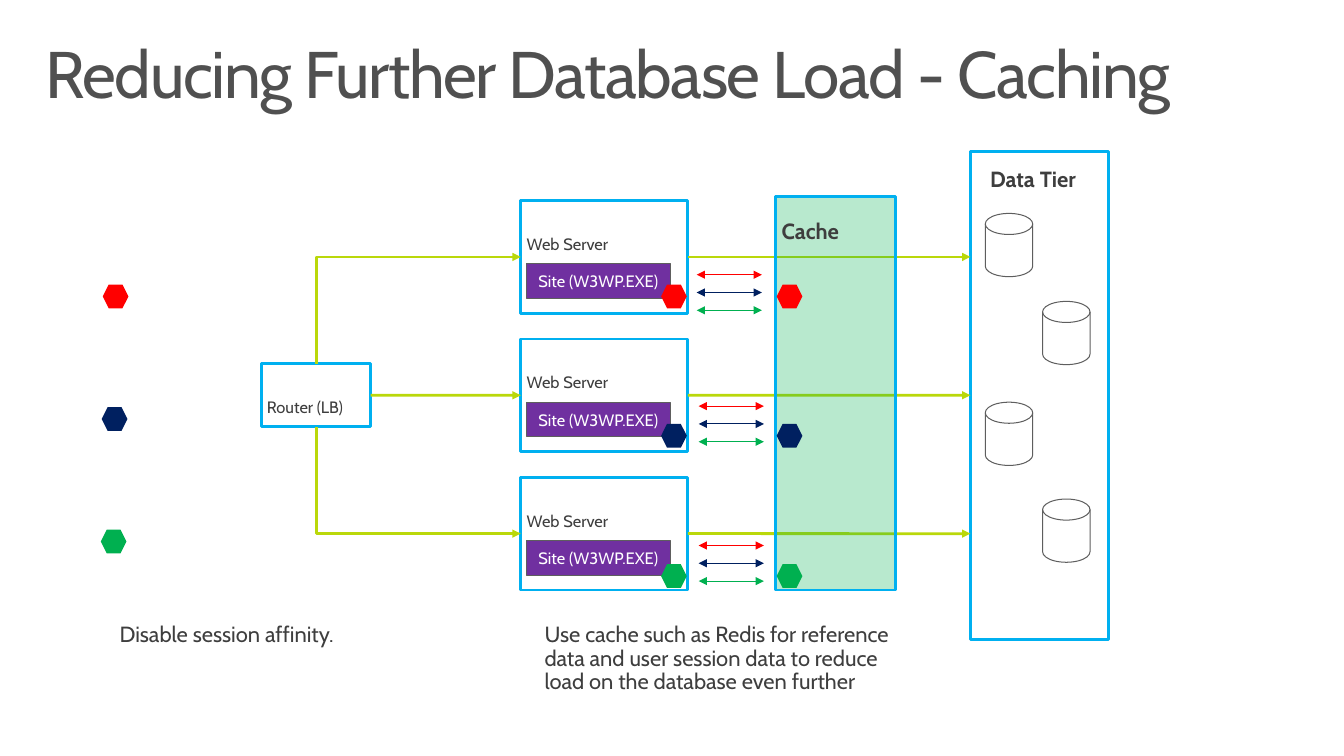
from pptx import Presentation
from pptx.dml.color import RGBColor
from pptx.enum.shapes import MSO_CONNECTOR as LINK, MSO_SHAPE as SHAPE
from pptx.enum.text import MSO_ANCHOR, MSO_AUTO_SIZE, PP_ALIGN
from pptx.oxml.ns import qn
from pptx.oxml.xmlchemy import OxmlElement
from pptx.util import Inches, Pt

rgb = RGBColor.from_string
BLUE, LIME, GREY, INK, WHITE = "00B0F0", "BAD80A", "5E5E5E", "3E3E3E", "FFFFFF"
RED, NAVY, GREEN = SESSIONS = ("FF0000", "002060", "00B050")

deck = Presentation()
deck.slide_width, deck.slide_height = Inches(13.6), Inches(7.65)
slide = deck.slides.add_slide(deck.slide_layouts[5])


def place(kind, left, top, width, height, fill, outline=None, weight=2):
    shape = slide.shapes.add_shape(kind, *map(Inches, (left, top, width, height)))
    shape.shadow.inherit = False
    shape.fill.solid()
    shape.fill.fore_color.rgb = rgb(fill)
    if outline:
        shape.line.color.rgb = rgb(outline)
        shape.line.width = Pt(weight)
    else:
        shape.line.fill.background()
    return shape


def write(frame, text, size, colour, bold=False, spacing=0.9, align=PP_ALIGN.LEFT):
    frame.word_wrap = True
    paragraph = frame.paragraphs[0]
    paragraph.alignment = align
    paragraph.line_spacing = spacing
    run = paragraph.add_run()
    run.text = text
    run.font.name = "Cabin"
    run.font.size = Pt(size)
    run.font.bold = bold
    run.font.color.rgb = rgb(colour)
    return run


title = slide.shapes.title
title.left, title.top, title.width, title.height = map(Inches, (0.3, 0.32, 13, 1))
heading = title.text_frame
heading.auto_size = MSO_AUTO_SIZE.NONE
heading.vertical_anchor = MSO_ANCHOR.TOP
heading.margin_left = heading.margin_right = Inches(0.16)
heading.margin_top = heading.margin_bottom = Inches(0.1)
headline = write(heading, "Reducing Further Database Load - Caching", 48, "505050")
headline.font._element.set("spc", "-100")

SERVER_LEFT, SERVER_RIGHT, TIER_LEFT = 5.27, 6.96, 9.82
BALANCER_LEFT, BALANCER_RIGHT, BALANCER_MID = 2.65, 3.75, 3.2
row_tops = [2.03 + 1.4 * row for row in range(3)]
row_mids = [top + 0.57 for top in row_tops]

labels = [
    (2.7, 4.04, 1.04, 0.18, "Router (LB)", 12, False),
    (10.02, 1.71, 1, 0.24, "Data Tier", 16, True),
    (7.91, 2.23, 0.78, 0.24, "Cache", 16, True),
    (1.21, 6.31, 3.63, 0.24, "Disable session affinity.", 16, False),
    (5.51, 6.31, 3.79, 0.73, "Use cache such as Redis for reference data and user session data "
     "to reduce load on the database even further", 16, False),
]

servers = []
for top in row_tops:
    servers.append(place(SHAPE.RECTANGLE, SERVER_LEFT, top, 1.69, 1.14, WHITE, BLUE))
    site = place(SHAPE.FLOWCHART_PROCESS, 5.33, top + 0.64, 1.45, 0.35, "7030A0", GREY, 0.75)
    site.text_frame.vertical_anchor = MSO_ANCHOR.MIDDLE
    write(site.text_frame, "Site (W3WP.EXE)", 12, WHITE, spacing=1.0, align=PP_ALIGN.CENTER)
    labels.append((5.33, top + 0.36, 1.04, 0.18, "Web Server", 12, False))

balancer = place(SHAPE.RECTANGLE, BALANCER_LEFT, 3.68, 1.1, 0.64, WHITE, BLUE)
data_tier = place(SHAPE.RECTANGLE, TIER_LEFT, 1.53, 1.4, 4.94, WHITE, BLUE)
for left, top in ((9.97, 2.16), (10.55, 3.05), (9.97, 4.07), (10.55, 5.05)):
    place(SHAPE.FLOWCHART_MAGNETIC_DISK, left, top, 0.48, 0.64, WHITE, GREY, 0.75)

upper, middle, lower = servers
top_mid, centre, bottom_mid = row_mids
routes = [
    (LINK.ELBOW, SERVER_LEFT, top_mid, BALANCER_MID, 3.68, LIME, 2, ["headEnd"],
     (upper, 1), (balancer, 0)),
    (LINK.ELBOW, SERVER_LEFT, bottom_mid, BALANCER_MID, 4.32, LIME, 2, ["headEnd"],
     (lower, 1), (balancer, 2)),
    (LINK.STRAIGHT, BALANCER_RIGHT, centre, SERVER_LEFT, centre, LIME, 2, ["tailEnd"],
     (balancer, 3), (middle, 1)),
]
for server, mid in zip(servers, row_mids):
    routes.append((LINK.STRAIGHT, SERVER_RIGHT, mid, TIER_LEFT, mid, LIME, 2, ["tailEnd"],
                   (server, 3), (data_tier, 1) if server is middle else None))
for left, top in ((7.05, 2.78), (7.07, 4.11), (7.07, 5.52)):
    for step, colour in enumerate(SESSIONS):
        level = top + 0.18 * step
        routes.append((LINK.STRAIGHT, left, level, left + 0.66, level, colour, 0.75,
                       ["headEnd", "tailEnd"], None, None))

for kind, x1, y1, x2, y2, colour, weight, arrowheads, source, target in routes:
    route = slide.shapes.add_connector(kind, *map(Inches, (x1, y1, x2, y2)))
    if source:
        route.begin_connect(*source)
    if target:
        route.end_connect(*target)
    route.line.color.rgb = rgb(colour)
    route.line.width = Pt(weight)
    properties = route._element.spPr
    if kind == LINK.ELBOW:
        properties.find(qn("a:prstGeom")).set("prst", "bentConnector2")
    for end in arrowheads:
        arrowhead = OxmlElement(f"a:{end}")
        arrowhead.set("type", "triangle")
        properties.find(qn("a:ln")).append(arrowhead)
    properties.append(OxmlElement("a:effectLst"))

cache = place(SHAPE.RECTANGLE, 7.85, 1.99, 1.21, 3.98, GREEN, BLUE)
opacity = OxmlElement("a:alpha")
opacity.set("val", "28000")
cache._element.spPr.find(qn("a:solidFill")).find(qn("a:srgbClr")).append(opacity)

user_spots = [(1.04, 2.88), (1.03, 4.12), (1.02, 5.36)]
session_tops = (2.88, 4.29, 5.71)
for colour, user_spot, top in zip(SESSIONS, user_spots, session_tops):
    for left, level in (user_spot, (6.69, top), (7.86, top)):
        place(SHAPE.HEXAGON, left, level, 0.26, 0.24, colour)

for left, top, width, height, text, size, bold in labels:
    label = slide.shapes.add_textbox(*map(Inches, (left, top, width, height))).text_frame
    label.margin_left = label.margin_right = label.margin_top = label.margin_bottom = 0
    label.auto_size = MSO_AUTO_SIZE.SHAPE_TO_FIT_TEXT
    write(label, text, size, INK, bold)

deck.save("out.pptx")
